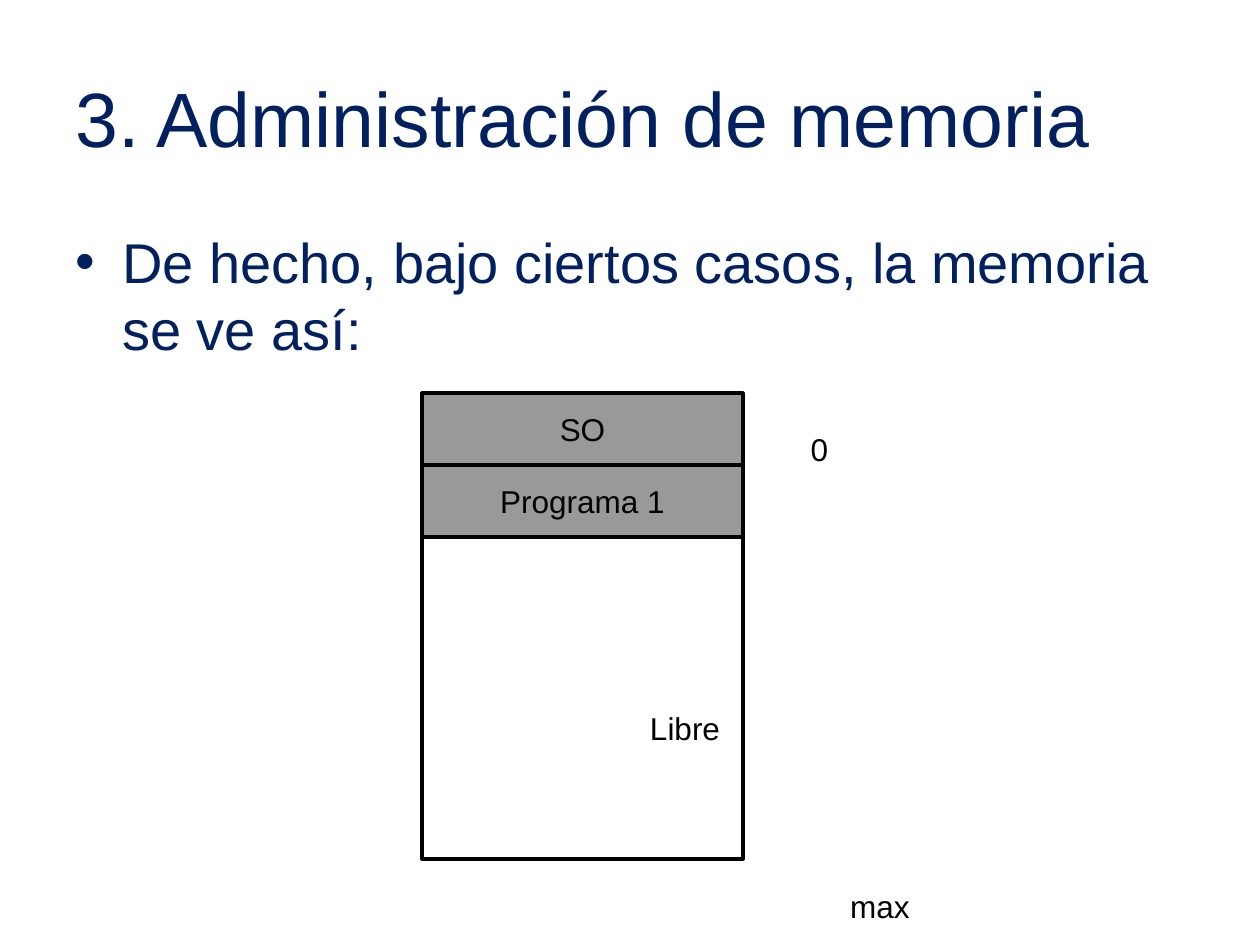
from dataclasses import dataclass

from lxml import etree
from pptx import Presentation
from pptx import util as u
from pptx.dml.color import RGBColor
from pptx.enum import shapes, text
from pptx.oxml.ns import qn

SCALE = 914400 // 126
NAVY, BLACK, GREY = "002060", "000000", "606060"


@dataclass
class Block:
    name: str
    height: int
    filled: bool


@dataclass
class Label:
    name: str
    x: int
    y: int
    w: int


def px(n: int) -> u.Emu:
    return u.Emu(n * SCALE)


def rgb(value: str) -> RGBColor:
    return RGBColor.from_string(value)


def write(tf, words: str, *, size=18, color=BLACK, align=text.PP_ALIGN.CENTER,
          anchor=text.MSO_ANCHOR.MIDDLE, wrap=True):
    tf.word_wrap = wrap
    tf.vertical_anchor = anchor
    p = tf.paragraphs[0]
    p.alignment = align
    r = p.add_run()
    r.text = words
    r.font.name, r.font.size = "Arial", u.Pt(size)
    r.font.color.rgb = rgb(color)
    return p


def add_text(s, x: int, y: int, w: int, h: int, words: str, **fmt):
    sp = s.shapes.add_textbox(px(x), px(y), px(w), px(h))
    return write(sp.text_frame, words, **fmt)


def add_bullet(p, indent: int) -> None:
    pPr = p._p.get_or_add_pPr()
    pPr.set("marL", str(px(indent)))
    pPr.set("indent", str(-px(indent)))
    etree.SubElement(pPr, qn("a:buFont")).set("typeface", "Arial")
    etree.SubElement(pPr, qn("a:buChar")).set("char", "•")


def add_block(s, x: int, y: int, w: int, block: Block) -> None:
    sp = s.shapes.add_shape(shapes.MSO_SHAPE.RECTANGLE, px(x), px(y), px(w), px(block.height))
    sp.shadow.inherit = False
    sp.line.color.rgb = rgb(BLACK)
    sp.line.width = u.Pt(2)
    if block.filled:
        sp.fill.solid()
        sp.fill.fore_color.rgb = rgb(GREY)
        color = sp.fill._xPr.find(".//" + qn("a:srgbClr"))
        etree.SubElement(color, qn("a:alpha")).set("val", "64000")
        write(sp.text_frame, block.name)
    else:
        sp.fill.background()


prs = Presentation()
prs.slide_width, prs.slide_height = px(1260), px(945)
s = prs.slides.add_slide(prs.slide_layouts[6])

# Title and body
add_text(s, 63, 38, 1134, 158, "3. Administración de memoria",
         size=44, color=NAVY, align=text.PP_ALIGN.LEFT)
body = add_text(s, 63, 221, 1134, 624, "De hecho, bajo ciertos casos, la memoria se ve así:",
                size=32, color=NAVY, align=text.PP_ALIGN.LEFT, anchor=text.MSO_ANCHOR.TOP)
body.space_before = u.Pt(6.4)
add_bullet(body, 47)

# Memory map: the outer frame, then the occupied blocks stacked from its top
LEFT, TOP, WIDTH = 422, 393, 321
add_block(s, LEFT, TOP, WIDTH, Block("", 466, False))
y = TOP
for block in (Block("SO", 72, True), Block("Programa 1", 72, True)):
    add_block(s, LEFT, y, WIDTH, block)
    y += block.height

# Addresses and free space
for label in (Label("0", 798, 424, 43), Label("max", 837, 881, 86), Label("Libre", 637, 703, 96)):
    add_text(s, label.x, label.y, label.w, 50, label.name, wrap=False)

prs.save("out.pptx")
